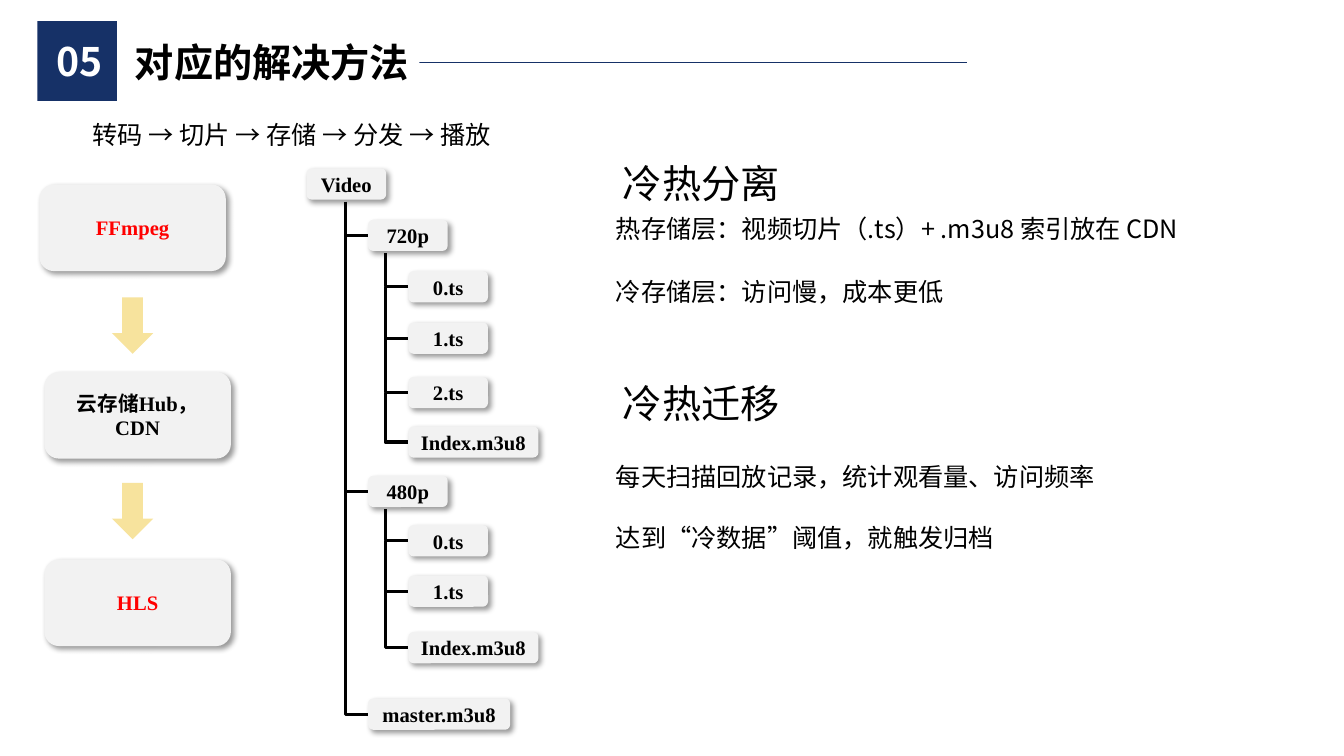
from dataclasses import dataclass

from lxml import etree
from pptx import Presentation
from pptx.dml.color import RGBColor
from pptx.enum.shapes import MSO_CONNECTOR, MSO_SHAPE
from pptx.enum.text import MSO_ANCHOR, PP_ALIGN
from pptx.oxml.ns import qn
from pptx.util import Inches, Pt

RECT, ROUND, ARROW = MSO_SHAPE.RECTANGLE, MSO_SHAPE.ROUNDED_RECTANGLE, MSO_SHAPE.DOWN_ARROW
STRAIGHT, ELBOW = MSO_CONNECTOR.STRAIGHT, MSO_CONNECTOR.ELBOW
LEFT, CENTER = PP_ALIGN.LEFT, PP_ALIGN.CENTER
TOP, MIDDLE = MSO_ANCHOR.TOP, MSO_ANCHOR.MIDDLE


@dataclass(frozen=True)
class Theme:
    navy: str = "163167"
    white: str = "FFFFFF"
    black: str = "000000"
    red: str = "FF0000"
    node: str = "F2F2F2"
    arrow: str = "F7E39D"
    sans: str = "Noto Sans CJK SC"
    serif: str = "Times New Roman"
    heading: float = 28
    body: float = 18
    label: float = 14.7


T = Theme()

# Content
NUMBER, TITLE = "05", "对应的解决方法"
PIPELINE = "转码 → 切片 → 存储 → 分发 → 播放"
STEPS = [("FFmpeg", T.red, 0.39), ("云存储Hub，CDN", T.black, 0.44), ("HLS", T.red, 0.44)]
NOTES = [  # left, top, size, paragraphs
    (6.08, 1.53, T.heading, ["冷热分离"]),
    (6.01, 2.07, T.body, ["热存储层：视频切片（.ts）+ .m3u8 索引放在 CDN"]),
    (6.01, 2.69, T.body, ["冷存储层：访问慢，成本更低"]),
    (6.08, 3.71, T.heading, ["冷热迁移"]),
    (6.01, 4.53, T.body, ["每天扫描回放记录，统计观看量、访问频率", "达到“冷数据”阈值，就触发归档"]),
]
FILES = [  # depth, name, top, width
    (0, "Video", 1.67, 0.79),
    (1, "720p", 2.18, 0.79),
    (2, "0.ts", 2.69, 0.79),
    (2, "1.ts", 3.2, 0.79),
    (2, "2.ts", 3.74, 0.79),
    (2, "Index.m3u8", 4.23, 1.29),
    (1, "480p", 4.72, 0.79),
    (2, "0.ts", 5.21, 0.79),
    (2, "1.ts", 5.71, 0.79),
    (2, "Index.m3u8", 6.27, 1.29),
    (1, "master.m3u8", 6.93, 1.41),
]

# Layout, in inches
STEP_TOP, STEP_PITCH, STEP_W, STEP_H = 1.83, 1.86, 1.85, 0.86
ARROW_LEFT, ARROW_TOP, ARROW_PITCH = 1.11, 2.95, 1.84
FILE_LEFT, FILE_H = (3.04, 3.65, 4.05), 0.31
TRUNK_X = (3.43, 3.82)

prs = Presentation()
prs.slide_width, prs.slide_height = Inches(13.33), Inches(7.5)
slide = prs.slides.add_slide(prs.slide_layouts[6])


def rgb(color):
    return RGBColor.from_string(color)


def write(sp, *paragraphs, size=T.body, color=T.black, font=T.sans, bold=False,
          align=LEFT, anchor=TOP, wrap=True, gap=0):
    tf = sp.text_frame
    tf.word_wrap, tf.vertical_anchor = wrap, anchor
    for i, text in enumerate(paragraphs):
        p = tf.add_paragraph() if i else tf.paragraphs[0]
        p.alignment = align
        p.space_before = Pt(gap if i else 0)
        r = p.add_run()
        r.text = text
        r.font.size, r.font.bold, r.font.name = Pt(size), bold, font
        r.font.color.rgb = rgb(color)
        ea = etree.SubElement(r.font._element, qn("a:ea"))
        ea.set("typeface", T.sans)


def textbox(x, y, w, h, *paragraphs, **style):
    write(slide.shapes.add_textbox(*map(Inches, (x, y, w, h))), *paragraphs, **style)


def block(kind, x, y, w, h, fill):
    sp = slide.shapes.add_shape(kind, *map(Inches, (x, y, w, h)))
    sp.shadow.inherit = False
    sp.fill.solid()
    sp.fill.fore_color.rgb = rgb(fill)
    sp.line.fill.background()
    return sp


def node(x, y, w, h, text, color=T.black):
    sp = block(ROUND, x, y, w, h, T.node)
    shadow = etree.SubElement(sp._element.spPr.find(qn("a:effectLst")), qn("a:outerShdw"),
                              blurRad=str(Pt(4)), dist=str(Pt(3)), dir="2700000",
                              algn="tl", rotWithShape="0")
    tint = etree.SubElement(shadow, qn("a:srgbClr"), val=T.black)
    etree.SubElement(tint, qn("a:alpha"), val="40000")
    write(sp, text, size=T.label, color=color, font=T.serif, bold=True,
          align=CENTER, anchor=MIDDLE)


def line(kind, x1, y1, x2, y2, color, width):
    cn = slide.shapes.add_connector(kind, *map(Inches, (x1, y1, x2, y2)))
    cn.line.color.rgb, cn.line.width = rgb(color), Pt(width)
    etree.SubElement(cn._element.spPr, qn("a:effectLst"))
    return cn


def branch(x1, y1, x2, y2):
    """Line that runs down, then turns right: a one-bend elbow on its side."""
    cn = line(ELBOW, x1, y1, x2, y2, T.black, 2.25)
    w, h = x2 - x1, y2 - y1
    cn.left, cn.top = Inches((x1 + x2 - h) / 2), Inches((y1 + y2 - w) / 2)
    cn.width, cn.height = Inches(h), Inches(w)
    xfrm = cn._element.spPr.find(qn("a:xfrm"))
    xfrm.set("rot", "16200000")
    xfrm.set("flipH", "1")
    cn._element.spPr.find(qn("a:prstGeom")).set("prst", "bentConnector2")


# Header
block(RECT, 0.37, 0.21, 0.79, 0.79, T.navy)
line(STRAIGHT, 2.11, 0.62, 9.59, 0.62, T.navy, 0.5)
textbox(0.39, 0.32, 0.79, 0.57, NUMBER, size=T.heading, color=T.white, bold=True, align=CENTER)
write(block(RECT, 1.24, 0.33, 2.92, 0.57, T.white), TITLE,
      size=T.heading, bold=True, wrap=False)

# Processing steps
textbox(0.82, 1.13, 4.49, 0.4, PIPELINE)
for i, (name, color, left) in enumerate(STEPS):
    node(left, STEP_TOP + i * STEP_PITCH, STEP_W, STEP_H, name, color)
for i in range(len(STEPS) - 1):
    block(ARROW, ARROW_LEFT, ARROW_TOP + i * ARROW_PITCH, 0.41, 0.56, T.arrow)

# Storage notes
for left, top, size, paragraphs in NOTES:
    textbox(left, top, 6.67, 0.4 if size == T.body else 0.57, *paragraphs, size=size, gap=22)

# File tree: each branch starts where the one above it ended
trunk_y = {}
for depth, name, top, width in FILES:
    node(FILE_LEFT[depth], top, width, FILE_H, name)
    if depth:
        middle = top + FILE_H / 2
        branch(TRUNK_X[depth - 1], trunk_y[depth - 1], FILE_LEFT[depth], middle)
        trunk_y[depth - 1] = middle
    trunk_y[depth] = top + FILE_H + 0.02

prs.save("out.pptx")
